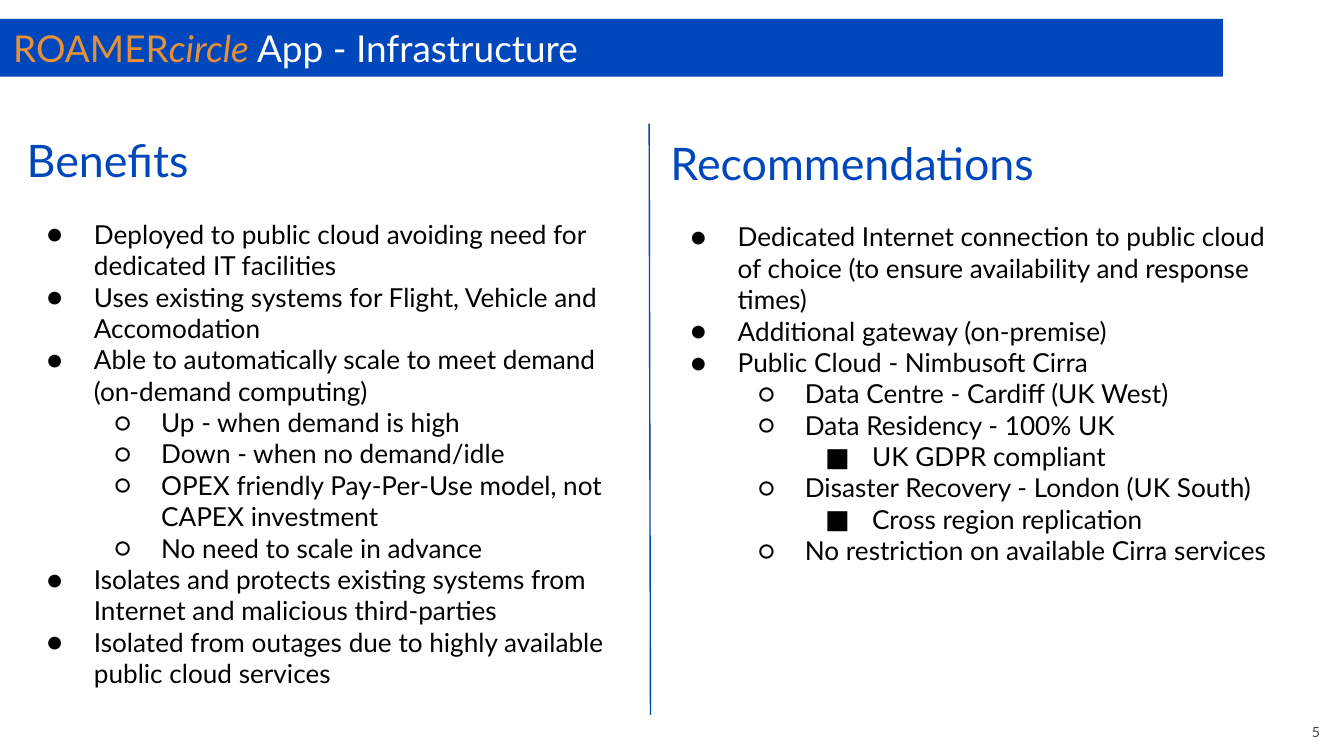
"""Build the app infrastructure slide with its benefits and recommendations."""
from dataclasses import dataclass

from lxml.etree import SubElement
from pptx import Presentation
from pptx.dml.color import RGBColor
from pptx.enum.shapes import MSO_CONNECTOR, MSO_SHAPE
from pptx.enum.text import MSO_ANCHOR, MSO_AUTO_SIZE, PP_ALIGN
from pptx.oxml.ns import qn
from pptx.util import Inches, Pt


@dataclass(frozen=True)
class Theme:
    font: str = "Lato"
    blue: str = "0047BB"
    gold: str = "E69138"
    white: str = "FFFFFF"
    black: str = "000000"
    grey: str = "424242"
    title: float = 19.8
    head: float = 24
    body: float = 14
    note: float = 7.5
    gap: float = 16.8
    marks: str = "●○■"


BENEFITS = [
    (0, "Deployed to public cloud avoiding need for dedicated IT facilities"),
    (0, "Uses existing systems for Flight, Vehicle and Accomodation"),
    (0, "Able to automatically scale to meet demand (on-demand computing)"),
    (1, "Up - when demand is high"),
    (1, "Down - when no demand/idle"),
    (1, "OPEX friendly Pay-Per-Use model, not CAPEX investment"),
    (1, "No need to scale in advance"),
    (0, "Isolates and protects existing systems from Internet and malicious third-parties"),
    (0, "Isolated from outages due to highly available public cloud services"),
]
ADVICE = [
    (0, "Dedicated Internet connection to public cloud of choice "
        "(to ensure availability and response times)"),
    (0, "Additional gateway (on-premise)"),
    (0, "Public Cloud - Nimbusoft Cirra"),
    (1, "Data Centre - Cardiff (UK West)"),
    (1, "Data Residency - 100% UK"),
    (2, "UK GDPR compliant"),
    (1, "Disaster Recovery - London (UK South)"),
    (2, "Cross region replication"),
    (1, "No restriction on available Cirra services"),
]


class Deck:
    def __init__(self, theme, slide):
        self.theme = theme
        self.slide = slide

    def frame(self, shape, **extra):
        frame = shape.text_frame
        sides = ("left", "top", "right", "bottom")
        style = {f"margin_{side}": Inches(0.1) for side in sides}
        style |= {"word_wrap": True, **extra}
        for key, value in style.items():
            setattr(frame, key, value)
        return frame

    def run(self, para, text, size, color, italic=False):
        run = para.add_run()
        run.text = text
        style = {"name": self.theme.font, "size": Pt(size), "italic": italic}
        for key, value in style.items():
            setattr(run.font, key, value)
        run.font.color.rgb = RGBColor.from_string(color)

    def box(self, area, **extra):
        return self.frame(self.slide.shapes.add_textbox(*map(Inches, area)), **extra)

    def banner(self, area, parts):
        bar = self.slide.shapes.add_shape(MSO_SHAPE.RECTANGLE, *map(Inches, area))
        bar.shadow.inherit = False
        bar.fill.solid()
        bar.fill.fore_color.rgb = RGBColor.from_string(self.theme.blue)
        bar.line.fill.background()
        para = self.frame(bar, vertical_anchor=MSO_ANCHOR.MIDDLE).paragraphs[0]
        para.alignment = PP_ALIGN.LEFT
        for text, color, italic in parts:
            self.run(para, text, self.theme.title, color, italic)

    def bullet(self, para, level, text):
        para.level = level
        props = para._p.get_or_add_pPr()
        props.set("marL", str(Inches(0.5 * (level + 1))))
        props.set("indent", str(Inches(-0.35)))
        tint = SubElement(props, qn("a:buClr"))
        SubElement(tint, qn("a:srgbClr"), val=self.theme.black)
        SubElement(props, qn("a:buFont"), typeface=self.theme.font)
        SubElement(props, qn("a:buChar"), char=self.theme.marks[level])
        self.run(para, text, self.theme.body, self.theme.black)

    def column(self, area, head, items):
        frame = self.box(area, auto_size=MSO_AUTO_SIZE.SHAPE_TO_FIT_TEXT)
        para = frame.paragraphs[0]
        para.space_after = Pt(self.theme.gap)
        self.run(para, head, self.theme.head, self.theme.blue)
        for level, text in items:
            self.bullet(frame.add_paragraph(), level, text)

    def number(self, area, text):
        para = self.box(area, vertical_anchor=MSO_ANCHOR.BOTTOM).paragraphs[0]
        para.alignment = PP_ALIGN.RIGHT
        self.run(para, text, self.theme.note, self.theme.grey)

    def rule(self, ends):
        line = self.slide.shapes.add_connector(MSO_CONNECTOR.STRAIGHT, *map(Inches, ends))
        line.line.color.rgb = RGBColor.from_string(self.theme.blue)
        line.line.width = Pt(0.75)
        SubElement(line._element.spPr, qn("a:effectLst"))


def main():
    show = Presentation()
    show.slide_width, show.slide_height = Inches(10), Inches(10 * 9 / 16)
    theme = Theme()
    deck = Deck(theme, show.slides.add_slide(show.slide_layouts[6]))
    deck.banner((0, 0.14, 9.1, 0.43), [
        ("ROAMER", theme.gold, False),
        ("circle", theme.gold, True),
        (" App - Infrastructure", theme.white, False),
    ])
    deck.number((9.32, 5.14, 0.6, 0.43), "5")
    deck.column((0.1, 0.89, 4.75, 4.38), "Benefits", BENEFITS)
    deck.column((4.89, 0.91, 4.75, 3.2), "Recommendations", ADVICE)
    deck.rule((4.83, 0.92, 4.84, 5.32))
    show.save("out.pptx")


if __name__ == "__main__":
    main()
